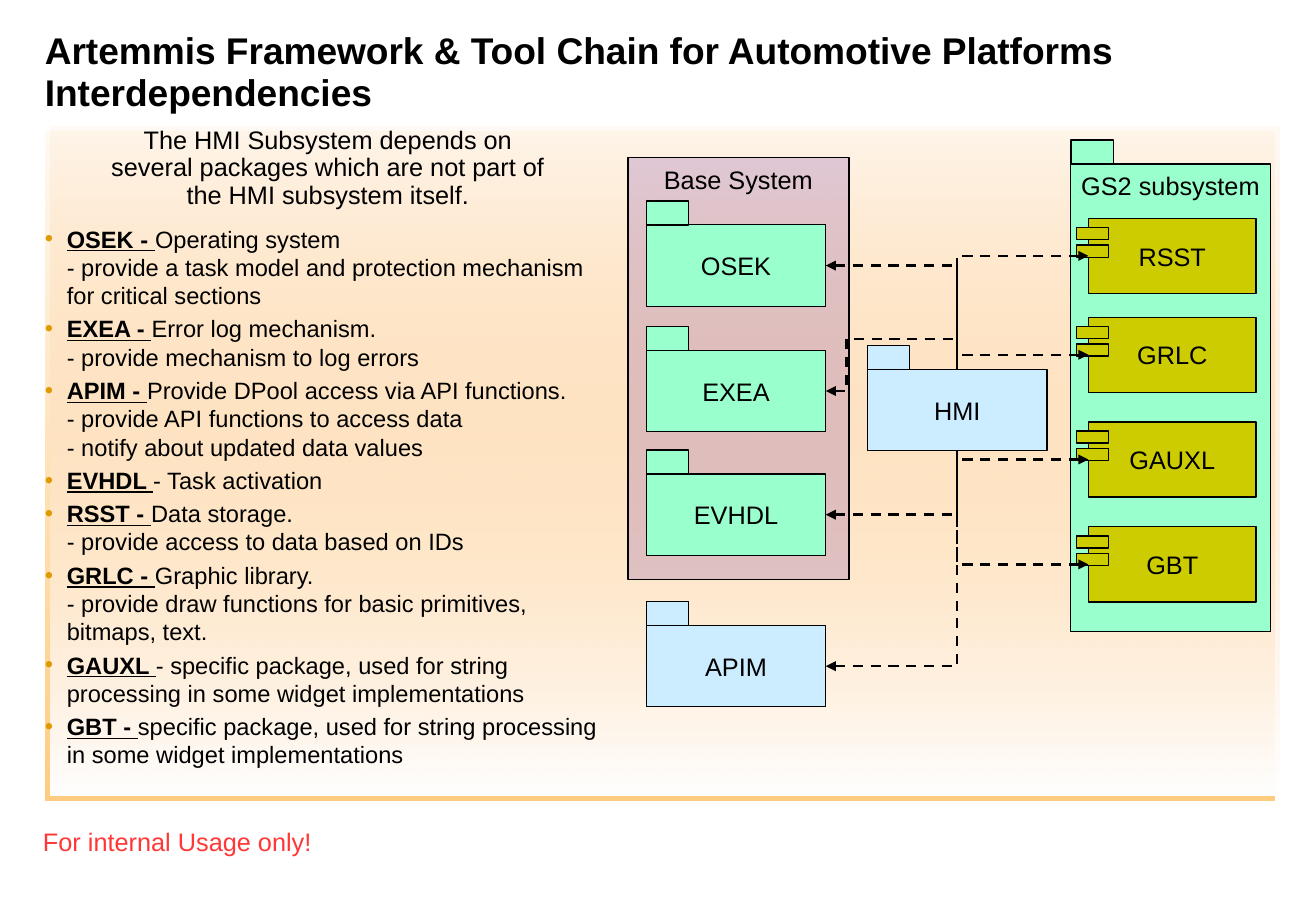
from lxml.etree import SubElement
from pptx import Presentation
from pptx.dml.color import RGBColor
from pptx.enum.dml import MSO_LINE
from pptx.enum.shapes import MSO_CONNECTOR, MSO_SHAPE
from pptx.enum.text import MSO_ANCHOR, MSO_AUTO_SIZE, PP_ALIGN
from pptx.oxml import parse_xml
from pptx.oxml.ns import nsdecls, qn
from pptx.util import Pt

# Content
TITLE = "Artemmis Framework & Tool Chain for Automotive Platforms \nInterdependencies"
INTRO = ("The HMI Subsystem depends on\nseveral packages which are not part of\n"
         "the HMI subsystem itself.")
ITEMS = [
    ("OSEK - ", "Operating system\n- provide a task model and protection mechanism "
                "for critical sections"),
    ("EXEA - ", "Error log mechanism.\n- provide mechanism to log errors"),
    ("APIM - ", "Provide DPool access via API functions.\n"
                "- provide API functions to access data\n"
                "- notify about updated data values"),
    ("EVHDL ", "- Task activation"),
    ("RSST - ", "Data storage.\n- provide access to data based on IDs"),
    ("GRLC - ", "Graphic library.\n- provide draw functions for basic primitives, "
                "bitmaps, text."),
    ("GAUXL ", "- specific package, used for string processing in some widget "
               "implementations"),
    ("GBT - ", "specific package, used for string processing in some widget "
               "implementations"),
]
FOOTER = "For internal Usage only!"
BLACK, GREEN, BLUE, OLIVE = "000000", "99FFCC", "CCECFF", "CCCC00"
# Name: left, top, fill
PACKS = {
    "HMI": (514.1, 219, BLUE),
    "OSEK": (383, 133.3, GREEN),
    "EXEA": (383, 207.7, GREEN),
    "APIM": (383, 370.8, BLUE),
    "EVHDL": (383, 281, GREEN),
}
PARTS = {"RSST": 129.4, "GRLC": 188, "GAUXL": 250.1, "GBT": 312.3}
# Target and the HMI side it joins (0 top, 2 bottom)
LINKS = [("OSEK", 0), ("EXEA", 0), ("APIM", 2), ("EVHDL", 2),
         ("RSST", 0), ("GRLC", 0), ("GAUXL", 2), ("GBT", 2)]
DETOUR = {"adj1": 15900, "adj2": 241200}  # route around the HMI tab

# Formats
LABEL = {"name": "Arial", "size": Pt(15), "bold": False, "underline": False}
HEAD = LABEL | {"size": Pt(22), "bold": True}
PLAIN = LABEL | {"size": Pt(14)}
TERM = PLAIN | {"bold": True, "underline": True}
FRAME = {"margin_left": 0, "margin_top": 0, "margin_right": 0, "margin_bottom": 0,
         "word_wrap": True, "auto_size": MSO_AUTO_SIZE.NONE}

deck = Presentation()
deck.slide_width, deck.slide_height = Pt(780), Pt(540)
slide = deck.slides.add_slide(deck.slide_layouts[1])
shapes = slide.shapes


def rgb(code):
    return RGBColor.from_string(code)


def style(item, form):
    for key, val in form.items():
        setattr(item, key, val)


def write(para, text, form, color=BLACK):
    for i, line in enumerate(text.split("\n")):
        if i:
            para.add_line_break()
            mark = para._p.findall(qn("a:br"))[-1]
            SubElement(mark, qn("a:rPr"), sz=str(int(form["size"].pt * 100)))
        run = para.add_run()
        run.text = line
        style(run.font, form)
        run.font.color.rgb = rgb(color)


def place(item, left, top, width, height):
    style(item, {"left": Pt(left), "top": Pt(top),
                 "width": Pt(width), "height": Pt(height)})


def box(left, top, width, height, fill, text="", anchor=MSO_ANCHOR.MIDDLE,
        kind=MSO_SHAPE.FLOWCHART_PROCESS):
    item = shapes.add_shape(kind, Pt(left), Pt(top), Pt(width), Pt(height))
    item.shadow.inherit = False
    item.fill.solid()
    item.fill.fore_color.rgb = rgb(fill)
    item.line.color.rgb = rgb(BLACK)
    item.line.width = Pt(0.75)
    if text:
        frame = item.text_frame
        style(frame, {"word_wrap": False, "vertical_anchor": anchor})
        frame.paragraphs[0].alignment = PP_ALIGN.CENTER
        write(frame.paragraphs[0], text, LABEL)
    return item


def tab(left, top, fill):
    box(left, top - 14.2, 25.2, 14.2, fill)


# Shaded panel behind everything
panel = shapes.add_shape(MSO_SHAPE.RECTANGLE, 0, 0, 0, 0)
place(panel, 30.2, 74.9, 728, 396.7)
panel.line.fill.background()
props = panel._element.spPr
props.insert(2, parse_xml(
    f'<a:gradFill {nsdecls("a")} rotWithShape="1"><a:gsLst>'
    '<a:gs pos="0"><a:srgbClr val="FFCC99"><a:alpha val="10000"/></a:srgbClr></a:gs>'
    '<a:gs pos="100000"><a:srgbClr val="FFFFFF"/></a:gs></a:gsLst>'
    '<a:lin ang="5400000" scaled="1"/></a:gradFill>'))
props.append(parse_xml(
    f'<a:effectLst {nsdecls("a")}><a:outerShdw dist="53340" dir="8100000" '
    'algn="ctr" rotWithShape="0"><a:srgbClr val="FF9900"><a:alpha val="50000"/>'
    '</a:srgbClr></a:outerShdw></a:effectLst>'))
shapes._spTree.insert(2, panel._element)

# Title
title = shapes.title
place(title, 26.6, 18, 727, 49.7)
style(title.text_frame, FRAME | {"vertical_anchor": MSO_ANCHOR.BOTTOM})
para = title.text_frame.paragraphs[0]
style(para, {"alignment": PP_ALIGN.LEFT, "line_spacing": Pt(24.8)})
write(para, TITLE, HEAD)

# Package list
body = slide.placeholders[1]
place(body, 26.6, 74.9, 335.5, 396.7)
frame = body.text_frame
style(frame, FRAME | {"vertical_anchor": MSO_ANCHOR.TOP})
para = frame.paragraphs[0]
rules = para._p.get_or_add_pPr()
rules.set("marL", "0")
rules.set("indent", "0")
SubElement(rules, qn("a:buNone"))
style(para, {"alignment": PP_ALIGN.CENTER, "line_spacing": Pt(16.5),
             "space_before": Pt(0), "space_after": Pt(8.7)})
write(para, INTRO, LABEL)
for term, text in ITEMS:
    para = frame.add_paragraph()
    rules = para._p.get_or_add_pPr()
    rules.set("marL", str(Pt(13)))
    rules.set("indent", str(Pt(-13)))
    SubElement(SubElement(rules, qn("a:buClr")), qn("a:srgbClr"), val="E19900")
    SubElement(rules, qn("a:buChar"), char="•")
    style(para, {"alignment": PP_ALIGN.LEFT, "line_spacing": Pt(16.75),
                 "space_before": Pt(0), "space_after": Pt(3)})
    write(para, term, TERM)
    write(para, text, PLAIN)

# Footer
note = shapes.add_textbox(Pt(18), Pt(486), Pt(174.2), Pt(25.2))
note.text_frame.word_wrap = False
note.text_frame.paragraphs[0].alignment = PP_ALIGN.CENTER
write(note.text_frame.paragraphs[0], FOOTER, LABEL, "FF3737")

# Containers
base = box(372.2, 93.6, 131, 249.8, "7030A0", "Base System", MSO_ANCHOR.TOP,
           MSO_SHAPE.RECTANGLE)
tint = base._element.spPr.find(qn("a:solidFill"))[0]
SubElement(tint, qn("a:alpha"), val="21000")
box(634.4, 97.2, 118.8, 277.2, GREEN, "GS2 subsystem", MSO_ANCHOR.TOP)
tab(634.8, 97.2, GREEN)

# Packages and components
nodes = {}
for name, (left, top, fill) in PACKS.items():
    nodes[name] = box(left, top, 106.5, 48.2, fill, name)
    tab(left, top, fill)
for name, top in PARTS.items():
    nodes[name] = box(645.1, top, 99.4, 44.6, OLIVE, name, kind=MSO_SHAPE.RECTANGLE)
    for drop in (5.4, 15.9):
        box(637.9, top + drop, 19.4, 7.2, OLIVE, kind=MSO_SHAPE.RECTANGLE)

# Dependencies
hub = nodes["HMI"]
for name, side in LINKS:
    node = nodes[name]
    edge = 1 if name in PARTS else 3
    start = node.left + (node.width if edge == 3 else 0)
    link = shapes.add_connector(
        MSO_CONNECTOR.ELBOW, start, node.top + node.height // 2,
        hub.left + hub.width // 2, hub.top + (hub.height if side else 0))
    link.begin_connect(node, edge)
    link.end_connect(hub, side)
    props = link._element.spPr
    shape = props.find(qn("a:prstGeom"))
    shape.set("prst", "bentConnector4" if name == "EXEA" else "bentConnector2")
    if name == "EXEA":
        guides = shape.find(qn("a:avLst"))
        for key, val in DETOUR.items():
            SubElement(guides, qn("a:gd"), name=key, fmla=f"val {val}")
    link.line.color.rgb = rgb(BLACK)
    style(link.line, {"width": Pt(1.5), "dash_style": MSO_LINE.DASH})
    SubElement(props.find(qn("a:ln")), qn("a:headEnd"), type="triangle")
    SubElement(props, qn("a:effectLst"))

deck.save("out.pptx")
